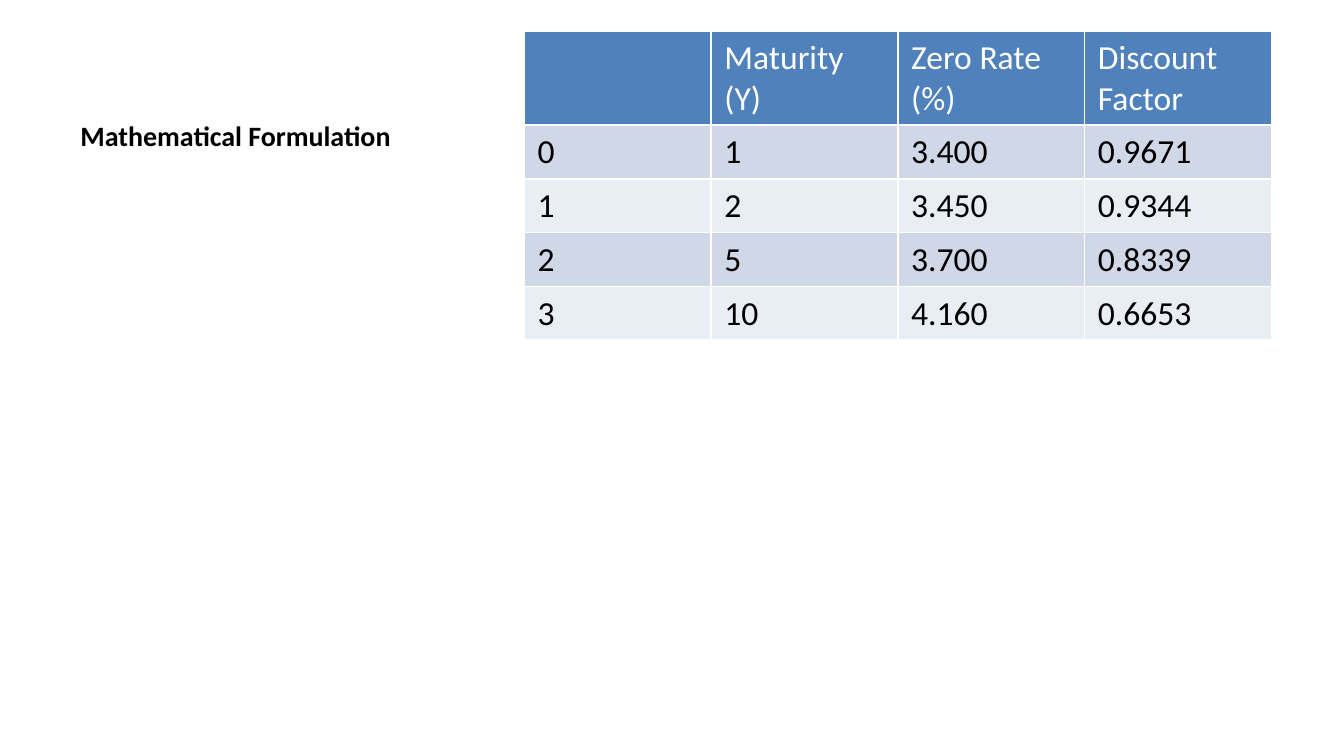
from lxml.etree import SubElement
from pptx import Presentation
from pptx.dml.color import RGBColor
from pptx.enum.text import MSO_ANCHOR
from pptx.oxml.ns import qn
from pptx.util import Inches, Pt

# Content
TITLE = "Mathematical Formulation"
ROWS = [
    ("", "Maturity (Y)", "Zero Rate (%)", "Discount Factor"),
    ("0", "1", "3.400", "0.9671"),
    ("1", "2", "3.450", "0.9344"),
    ("2", "5", "3.700", "0.8339"),
    ("3", "10", "4.160", "0.6653"),
]

# Formats
TITLE_FONT = {"name": "Calibri", "size": Pt(15), "bold": True}
CELL_FONT = {"name": "Calibri", "size": Pt(18), "bold": False}
BLACK, WHITE = "000000", "FFFFFF"
HEADER_FILL = "4F81BD"
BAND_FILLS = ("D0D8E8", "E9EDF4")

# Layout
SLIDE_WIDTH = 10
SLIDE_HEIGHT = SLIDE_WIDTH * 9 / 16
TOP = 0.23
HEADER_HEIGHT, ROW_HEIGHT = 0.7, 0.4
COLUMN_WIDTH = 1.39


def rgb(value):
    return RGBColor.from_string(value)


def write(text_frame, text, font_format, color):
    paragraph = text_frame.paragraphs[0]
    # An empty cell keeps its font size at paragraph level
    target = paragraph.add_run() if text else paragraph
    if text:
        target.text = text
    for name, value in font_format.items():
        setattr(target.font, name, value)
    target.font.color.rgb = rgb(color)


def add_borders(cell, color, width):
    properties = cell._tc.get_or_add_tcPr()
    for side in ("lnL", "lnR", "lnT", "lnB"):
        line = SubElement(properties, qn(f"a:{side}"), w=str(Pt(width)))
        fill = SubElement(line, qn("a:solidFill"))
        SubElement(fill, qn("a:srgbClr"), val=color)


presentation = Presentation()
presentation.slide_width = Inches(SLIDE_WIDTH)
presentation.slide_height = Inches(SLIDE_HEIGHT)
slide = presentation.slides.add_slide(presentation.slide_layouts[6])

# Title
title = slide.shapes.add_textbox(Inches(0.5), Inches(TOP), Inches(3.29), Inches(0.95))
title.text_frame.word_wrap = True
title.text_frame.vertical_anchor = MSO_ANCHOR.BOTTOM
write(title.text_frame, TITLE, TITLE_FONT, BLACK)

# Rate table
heights = [HEADER_HEIGHT] + [ROW_HEIGHT] * (len(ROWS) - 1)
column_count = len(ROWS[0])
table = slide.shapes.add_table(
    len(ROWS), column_count, Inches(3.9), Inches(TOP),
    Inches(COLUMN_WIDTH * column_count), Inches(sum(heights)),
).table
for column in table.columns:
    column.width = Inches(COLUMN_WIDTH)

for row_index, (values, height) in enumerate(zip(ROWS, heights)):
    table.rows[row_index].height = Inches(height)
    is_header = row_index == 0
    fill_color = HEADER_FILL if is_header else BAND_FILLS[(row_index - 1) % 2]
    for column_index, value in enumerate(values):
        cell = table.cell(row_index, column_index)
        add_borders(cell, WHITE, 1)
        cell.fill.solid()
        cell.fill.fore_color.rgb = rgb(fill_color)
        write(cell.text_frame, value, CELL_FONT, WHITE if is_header else BLACK)

presentation.save("out.pptx")
